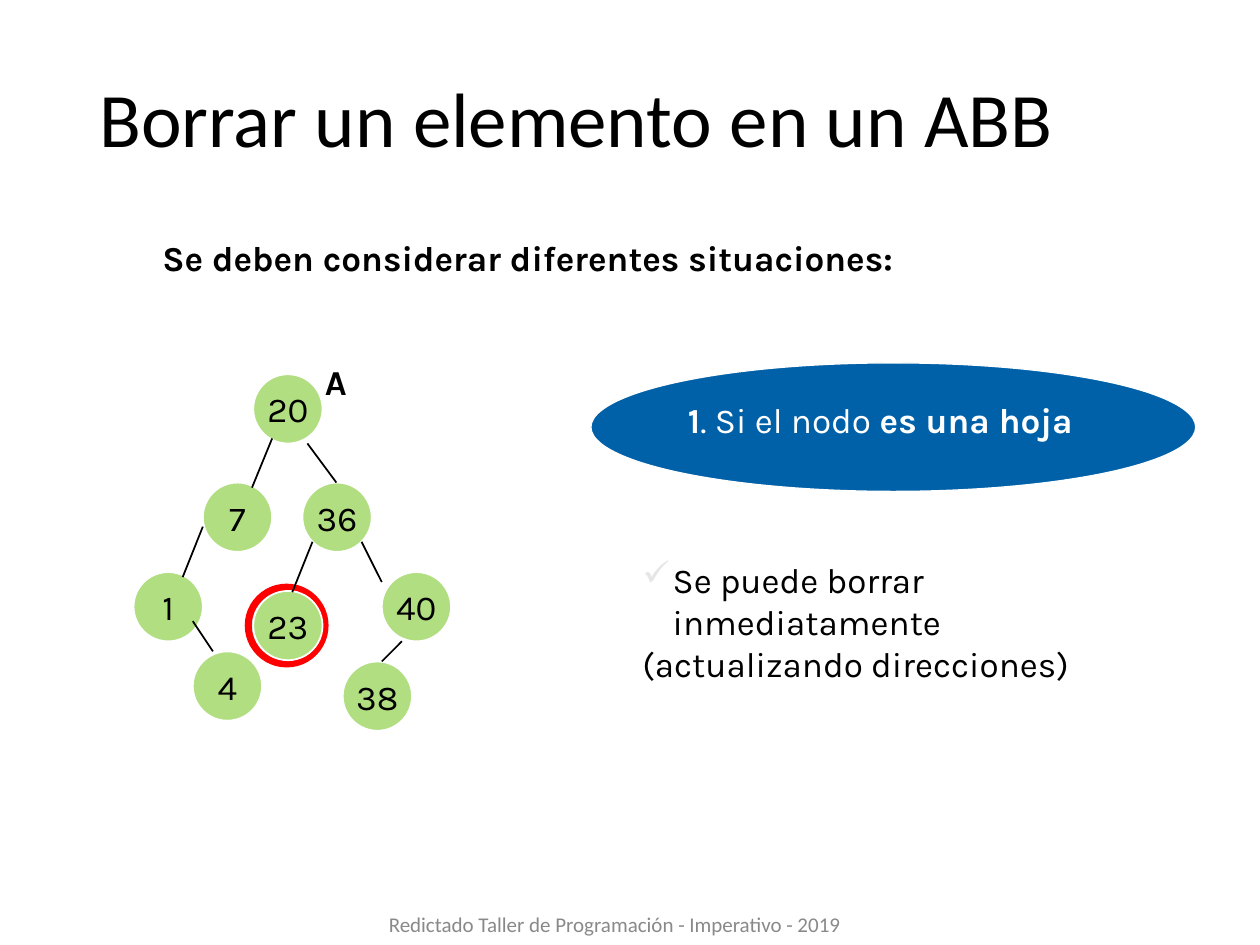
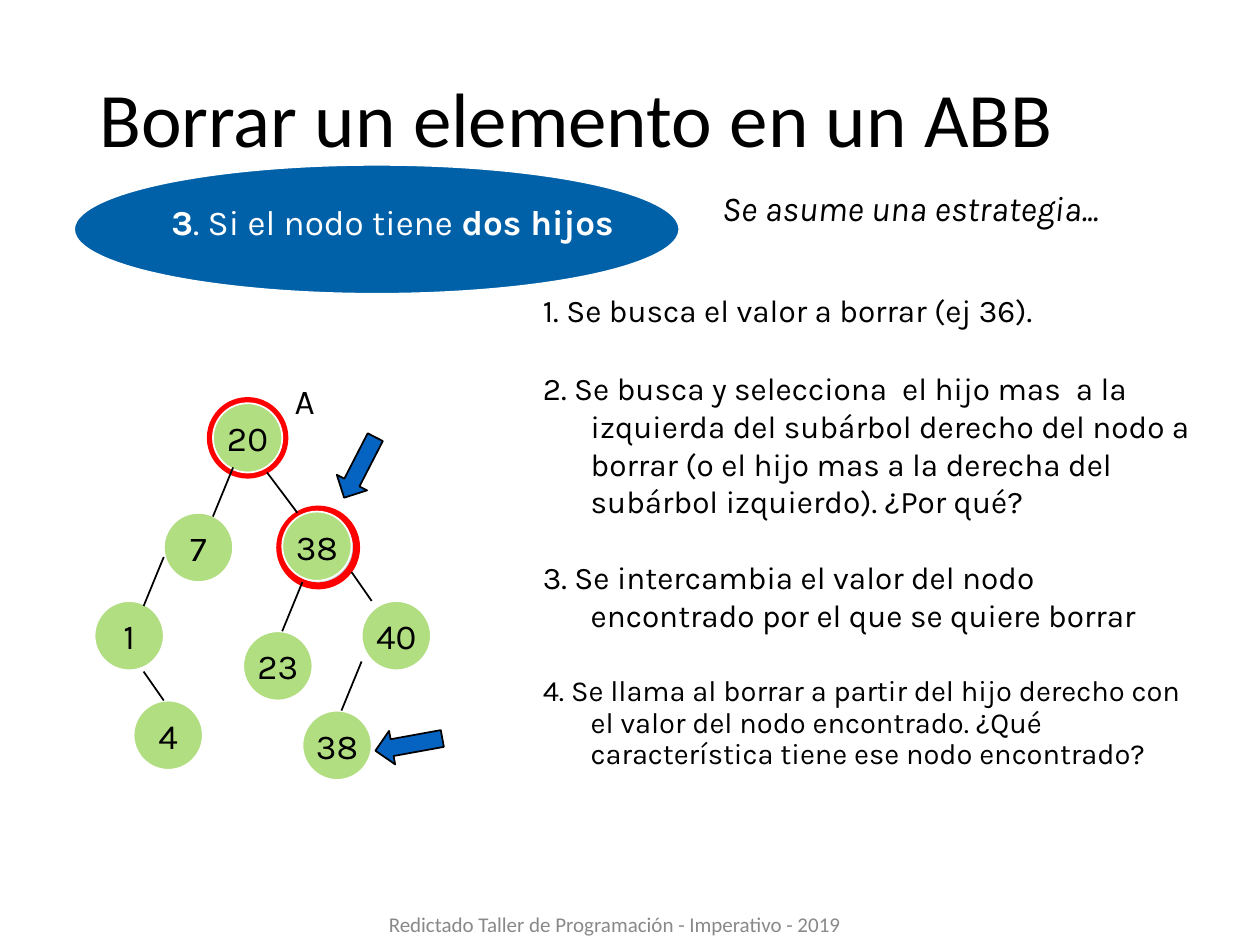
from typing import NamedTuple

from lxml.etree import SubElement
from pptx import Presentation
from pptx.dml.color import RGBColor
from pptx.enum.shapes import MSO_CONNECTOR, MSO_SHAPE
from pptx.enum.text import MSO_ANCHOR, PP_ALIGN
from pptx.oxml.ns import qn
from pptx.util import Inches, Pt

# Shared look
BLACK, WHITE, GREY = "000000", "FFFFFF", "898989"
NODE_GREEN, RING_RED, RING_FILL = "B2DE82", "FF0000", "BED1E0"
BANNER_BLUE, ARROW_BLUE, CHECK_GREY = "0060A8", "0563C1", "E7E6E6"
HEADING_FONT, BODY_FONT = "Calibri", "Karla"
NODE_SIZE = 0.55
TITLE = "Borrar un elemento en un ABB"
FOOTER = "Redictado Taller de Programación - Imperativo - 2019"


class Box(NamedTuple):
    left: float
    top: float
    width: float
    height: float


class Style(NamedTuple):
    size: float = 20
    color: str = BLACK
    font: str = BODY_FONT
    bold: bool | None = None
    italic: bool | None = None
    align: PP_ALIGN = PP_ALIGN.LEFT
    spacing: float | None = None
    before: float = 0
    hanging: float = 0


class Node(NamedTuple):
    value: str
    left: float
    top: float


class Ring(NamedTuple):
    left: float
    top: float
    size: float
    weight: float


class Edge(NamedTuple):
    x1: float
    y1: float
    x2: float
    y2: float


class Pointer(NamedTuple):
    left: float
    top: float
    rotation: float


class Step(NamedTuple):
    text: str
    box: Box
    style: Style


class Tree(NamedTuple):
    rings: list[Ring]
    nodes: list[Node]
    edges: list[Edge]
    label_box: Box
    label_style: Style


def rgb(color: str) -> RGBColor:
    return RGBColor.from_string(color)


def inches(box: Box) -> list[Inches]:
    return [Inches(length) for length in box]


def style_paragraph(paragraph, style: Style) -> None:
    font = paragraph.font
    font.name, font.size = style.font, Pt(style.size)
    font.bold, font.italic = style.bold, style.italic
    font.color.rgb = rgb(style.color)
    paragraph.alignment = style.align
    paragraph.space_before = Pt(style.before)
    if style.spacing:
        paragraph.line_spacing = style.spacing
    if style.hanging:
        properties = paragraph._p.get_or_add_pPr()
        properties.set("marL", str(Inches(style.hanging)))
        properties.set("indent", str(-Inches(style.hanging)))


def add_text(slide, text: str, box: Box, style: Style = Style(),
             anchor: MSO_ANCHOR = MSO_ANCHOR.TOP):
    frame = slide.shapes.add_textbox(*inches(box)).text_frame
    frame.word_wrap = True
    frame.vertical_anchor = anchor
    paragraph = frame.paragraphs[0]
    paragraph.text = text
    style_paragraph(paragraph, style)
    return frame


def add_figure(slide, kind: MSO_SHAPE, box: Box, fill: str, line: str, weight: float):
    figure = slide.shapes.add_shape(kind, *inches(box))
    figure.shadow.inherit = False
    figure.fill.solid()
    figure.fill.fore_color.rgb = rgb(fill)
    figure.line.color.rgb = rgb(line)
    figure.line.width = Pt(weight)
    return figure


def add_node(slide, node: Node) -> None:
    box = Box(node.left, node.top, NODE_SIZE, NODE_SIZE)
    frame = add_figure(slide, MSO_SHAPE.OVAL, box, NODE_GREEN, WHITE, 1).text_frame
    frame.word_wrap = False
    frame.vertical_anchor = MSO_ANCHOR.MIDDLE
    frame.paragraphs[0].text = node.value
    style_paragraph(frame.paragraphs[0], Style(align=PP_ALIGN.CENTER))


def add_edge(slide, edge: Edge) -> None:
    connector = slide.shapes.add_connector(MSO_CONNECTOR.STRAIGHT, *map(Inches, edge))
    connector.line.color.rgb = rgb(BLACK)
    connector.line.width = Pt(1)
    SubElement(connector._element.spPr, qn("a:effectLst"))


def add_tree(slide, tree: Tree) -> None:
    for ring in tree.rings:
        box = Box(ring.left, ring.top, ring.size, ring.size)
        add_figure(slide, MSO_SHAPE.OVAL, box, RING_FILL, RING_RED, ring.weight)
    for node in tree.nodes:
        add_node(slide, node)
    for edge in tree.edges:
        add_edge(slide, edge)
    add_text(slide, "A", tree.label_box, tree.label_style)


def add_pointer(slide, pointer: Pointer) -> None:
    box = Box(pointer.left, pointer.top, 0.27, 0.54)
    arrow = add_figure(slide, MSO_SHAPE.DOWN_ARROW, box, ARROW_BLUE, BLACK, 1)
    arrow.rotation = pointer.rotation


def add_banner(slide, left: float, top: float, number: str, middle: str, case: str) -> None:
    """Blue ellipse naming one of the deletion cases."""
    add_figure(slide, MSO_SHAPE.OVAL, Box(left, top, 4.8, 1.02), BANNER_BLUE, WHITE, 0.75)
    text_box = Box(left + 0.39, top + 0.23, 4.73, 0.84)
    frame = add_text(slide, "", text_box, Style(color=WHITE, before=5))
    frame.margin_left = Inches(0.38)
    for words, bold in ((number, True), (middle, False), (case, True)):
        run = frame.paragraphs[0].add_run()
        run.text, run.font.bold = words, bold


def add_check_bullet(paragraph) -> None:
    properties = paragraph._p.get_or_add_pPr()
    color = properties.makeelement(qn("a:buClr"), {})
    SubElement(color, qn("a:srgbClr"), val=CHECK_GREY)
    mark = properties.makeelement(qn("a:buChar"), {"char": "✓"})
    # Bullet settings come before the default font in the schema
    font = properties.find(qn("a:defRPr"))
    font.addprevious(color)
    font.addprevious(mark)


def add_title_and_footer(slide) -> None:
    add_text(slide, TITLE, Box(0.69, 0.25, 8.63, 1.45),
             Style(44, font=HEADING_FONT, spacing=0.9), MSO_ANCHOR.MIDDLE)
    add_text(slide, FOOTER, Box(2.6, 7.1, 4.56, 0.4),
             Style(12, GREY, HEADING_FONT, align=PP_ALIGN.CENTER, spacing=1.35, before=3),
             MSO_ANCHOR.MIDDLE)


LEAF_TREE = Tree(
    rings=[Ring(1.97, 4.66, 0.61, 4)],
    nodes=[
        Node("20", 2.01, 2.97), Node("7", 1.61, 3.83), Node("36", 2.4, 3.83),
        Node("1", 1.06, 4.54), Node("4", 1.53, 5.17), Node("23", 2.01, 4.69),
        Node("40", 3.03, 4.54), Node("38", 2.72, 5.25),
    ],
    edges=[
        Edge(2.16, 3.48, 2, 3.87), Edge(2.44, 3.52, 2.67, 3.83),
        Edge(1.61, 4.18, 1.45, 4.58), Edge(1.53, 4.93, 1.69, 5.17),
        Edge(2.48, 4.3, 2.32, 4.7), Edge(2.87, 4.3, 3.03, 4.62),
        Edge(3.19, 5.09, 3.03, 5.25),
    ],
    label_box=Box(2.48, 2.81, 0.39, 0.44),
    label_style=Style(bold=True),
)

TWO_CHILDREN_TREE = Tree(
    rings=[Ring(1.69, 3.2, 0.55, 7), Ring(2.22, 4.04, 0.61, 4)],
    nodes=[
        Node("20", 1.69, 3.2), Node("7", 1.3, 4.07), Node("38", 2.24, 4.06),
        Node("1", 0.75, 4.77), Node("4", 1.06, 5.56), Node("23", 1.93, 5.01),
        Node("40", 2.87, 4.77), Node("38", 2.4, 5.64),
    ],
    edges=[
        Edge(1.85, 3.71, 1.69, 4.1), Edge(2.12, 3.75, 2.36, 4.07),
        Edge(1.3, 4.42, 1.14, 4.81), Edge(1.14, 5.33, 1.3, 5.56),
        Edge(2.4, 4.62, 2.24, 5.01), Edge(2.79, 4.54, 2.95, 4.77),
        Edge(2.87, 5.25, 2.71, 5.64),
    ],
    label_box=Box(2.24, 2.96, 0.39, 0.44),
    label_style=Style(),
)

POINTERS = [Pointer(2.72, 3.44, 27.2), Pointer(3.11, 5.64, 79.7)]

STEP_STYLE = Style(18, before=4.5, hanging=0.38)
STEPS = [
    Step("1. Se busca el valor a borrar (ej 36).", Box(4.21, 2.26, 4.73, 0.55), STEP_STYLE),
    Step("2. Se busca y selecciona  el hijo mas  a la izquierda del subárbol derecho "
         "del nodo a borrar (o el hijo mas a la derecha del subárbol izquierdo). ¿Por qué?",
         Box(4.21, 2.88, 5.52, 1.34), STEP_STYLE),
    Step("3. Se intercambia el valor del nodo encontrado por el que se quiere borrar",
         Box(4.21, 4.38, 5.43, 0.71), STEP_STYLE),
    Step("4. Se llama al borrar a partir del hijo derecho con el valor del nodo encontrado. "
         "¿Qué característica tiene ese nodo encontrado?",
         Box(4.21, 5.32, 5.43, 1.18), STEP_STYLE._replace(size=16.6, spacing=0.9)),
]


def build_leaf_slide(slide) -> None:
    add_text(slide, "Se deben considerar diferentes situaciones:",
             Box(1.19, 1.83, 8.06, 0.74), Style(bold=True))
    add_tree(slide, LEAF_TREE)
    add_banner(slide, 4.69, 2.88, "1", ". Si el nodo ", "es una hoja")
    # Consequence of deleting a leaf
    consequence = add_text(slide, "Se puede borrar inmediatamente",
                           Box(5, 4.38, 4.57, 1.1), Style(hanging=0.24))
    add_check_bullet(consequence.paragraphs[0])
    remark = consequence.add_paragraph()
    remark.text = "(actualizando direcciones)"
    style_paragraph(remark, Style())
    add_title_and_footer(slide)


def build_two_children_slide(slide) -> None:
    add_tree(slide, TWO_CHILDREN_TREE)
    for pointer in POINTERS:
        add_pointer(slide, pointer)
    for step in STEPS:
        add_text(slide, *step)
    add_banner(slide, 0.59, 1.31, "3", ". Si el nodo tiene ", "dos hijos")
    add_text(slide, "Se asume una estrategia...", Box(5.63, 1.43, 3.62, 0.44),
             Style(italic=True, before=12.5))
    add_title_and_footer(slide)


def main() -> None:
    deck = Presentation()
    deck.slide_width, deck.slide_height = Inches(10), Inches(7.5)
    blank = deck.slide_layouts[6]
    for build in (build_leaf_slide, build_two_children_slide):
        build(deck.slides.add_slide(blank))
    deck.save("out.pptx")


if __name__ == "__main__":
    main()
